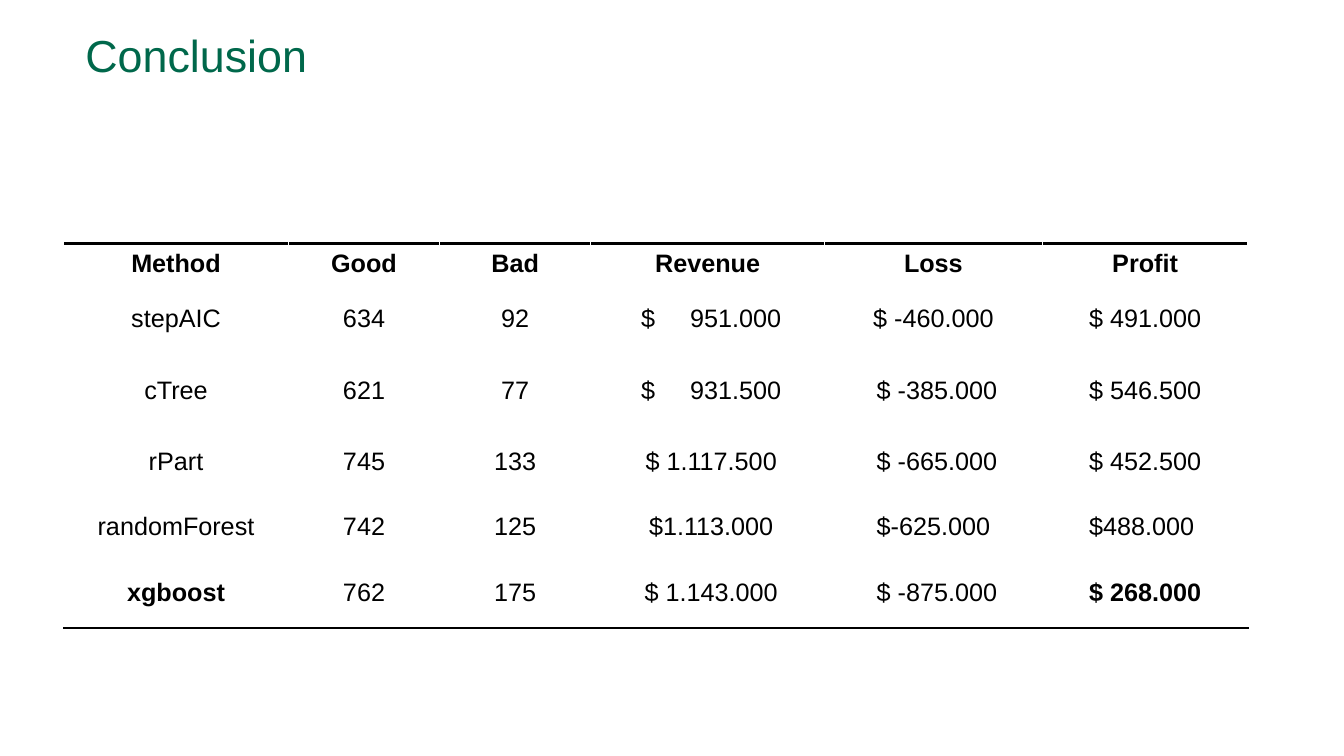
from dataclasses import dataclass

from lxml.etree import SubElement
from pptx import Presentation
from pptx.dml.color import RGBColor
from pptx.enum.text import MSO_ANCHOR, PP_ALIGN
from pptx.oxml.ns import qn
from pptx.slide import Slide
from pptx.table import _Cell
from pptx.text.text import _Paragraph
from pptx.util import Pt


@dataclass(frozen=True)
class Theme:
    font: str = "Arial"
    heading: RGBColor = RGBColor(0x00, 0x68, 0x4B)
    ink: RGBColor = RGBColor(0x00, 0x00, 0x00)
    paper: RGBColor = RGBColor(0xFF, 0xFF, 0xFF)
    heading_size: float = 32
    body_size: float = 18
    rule_width: float = 2


@dataclass(frozen=True)
class Column:
    label: str
    width: float


@dataclass(frozen=True)
class Result:
    method: str
    good: str
    bad: str
    revenue: tuple[str, ...]
    loss: str
    profit: str
    height: float = 51
    best: bool = False

    def entries(self) -> list[tuple[tuple[str, ...], bool]]:
        return [
            ((self.method,), self.best),
            ((self.good,), False),
            ((self.bad,), False),
            (self.revenue, False),
            ((self.loss,), False),
            ((self.profit,), self.best),
        ]


THEME = Theme()
HEADER_HEIGHT = 28
WIDE_GAP = 20

COLUMNS = [
    Column("Method", 160.5),
    Column("Good", 108),
    Column("Bad", 108),
    Column("Revenue", 167),
    Column("Loss", 155.5),
    Column("Profit", 147),
]

RESULTS = [
    Result("stepAIC", "634", "92", (" $", " ", "951.000"), " $ -460.000 ", " $ 491.000 "),
    Result("cTree", "621", "77", (" $", " ", "931.500"), " $ -385.000", " $ 546.500 "),
    Result("rPart", "745", "133", (" $ 1.117.500",), " $ -665.000", " $ 452.500 "),
    Result("randomForest", "742", "125", (" $1.113.000",), "$-625.000", "$488.000 ", height=42.5),
    Result("xgboost", "762", "175", (" $ 1.143.000",), " $ -875.000", " $ 268.000 ", best=True),
]


def add_run(paragraph: _Paragraph, text: str, size: float, color: RGBColor, bold: bool = False) -> None:
    run = paragraph.add_run()
    run.text = text
    run.font.name = THEME.font
    run.font.size = Pt(size)
    run.font.bold = bold
    run.font.color.rgb = color
    if text == " ":
        run.font._element.set("spc", str(WIDE_GAP * 100))


def add_heading(slide: Slide, text: str) -> None:
    frame = slide.shapes.add_textbox(Pt(61), Pt(24), Pt(667.5), Pt(74)).text_frame
    frame.word_wrap = True
    frame.margin_left = frame.margin_right = frame.margin_top = frame.margin_bottom = 0
    frame.paragraphs[0].line_spacing = 0.9
    add_run(frame.paragraphs[0], text, THEME.heading_size, THEME.heading)


def fill_cell(cell: _Cell, pieces: tuple[str, ...], bold: bool) -> None:
    cell.fill.solid()
    cell.fill.fore_color.rgb = THEME.paper
    cell.vertical_anchor = MSO_ANCHOR.MIDDLE
    cell.margin_left = cell.margin_right = cell.margin_top = Pt(0.75)
    cell.margin_bottom = 0
    paragraph = cell.text_frame.paragraphs[0]
    paragraph.alignment = PP_ALIGN.CENTER
    for piece in pieces:
        add_run(paragraph, piece, THEME.body_size, THEME.ink, bold)


def add_rule(cell: _Cell, edge: str) -> None:
    properties = cell._tc.get_or_add_tcPr()
    rule = SubElement(properties, qn(edge), w=str(Pt(THEME.rule_width)))
    color = SubElement(SubElement(rule, qn("a:solidFill")), qn("a:srgbClr"))
    color.set("val", str(THEME.ink))
    properties.insert(0, rule)


def add_comparison(slide: Slide, columns: list[Column], results: list[Result]) -> None:
    heights = [HEADER_HEIGHT] + [result.height for result in results]
    comparison = slide.shapes.add_table(
        len(heights), len(columns), Pt(45.5), Pt(174),
        Pt(sum(column.width for column in columns)), Pt(sum(heights)),
    ).table
    comparison.first_row = comparison.horz_banding = False
    for index, column in enumerate(columns):
        comparison.columns[index].width = Pt(column.width)
    for index, height in enumerate(heights):
        comparison.rows[index].height = Pt(height)

    header = [((column.label,), True) for column in columns]
    for row, entries in enumerate([header] + [result.entries() for result in results]):
        for column_index, (pieces, bold) in enumerate(entries):
            fill_cell(comparison.cell(row, column_index), pieces, bold)
    for column_index in range(len(columns)):
        add_rule(comparison.cell(0, column_index), "a:lnT")
        add_rule(comparison.cell(len(results), column_index), "a:lnB")


def main() -> None:
    deck = Presentation()
    deck.slide_width, deck.slide_height = Pt(960), Pt(540)
    slide = deck.slides.add_slide(deck.slide_layouts[6])
    add_heading(slide, "Conclusion")
    add_comparison(slide, COLUMNS, RESULTS)
    deck.save("out.pptx")


if __name__ == "__main__":
    main()
